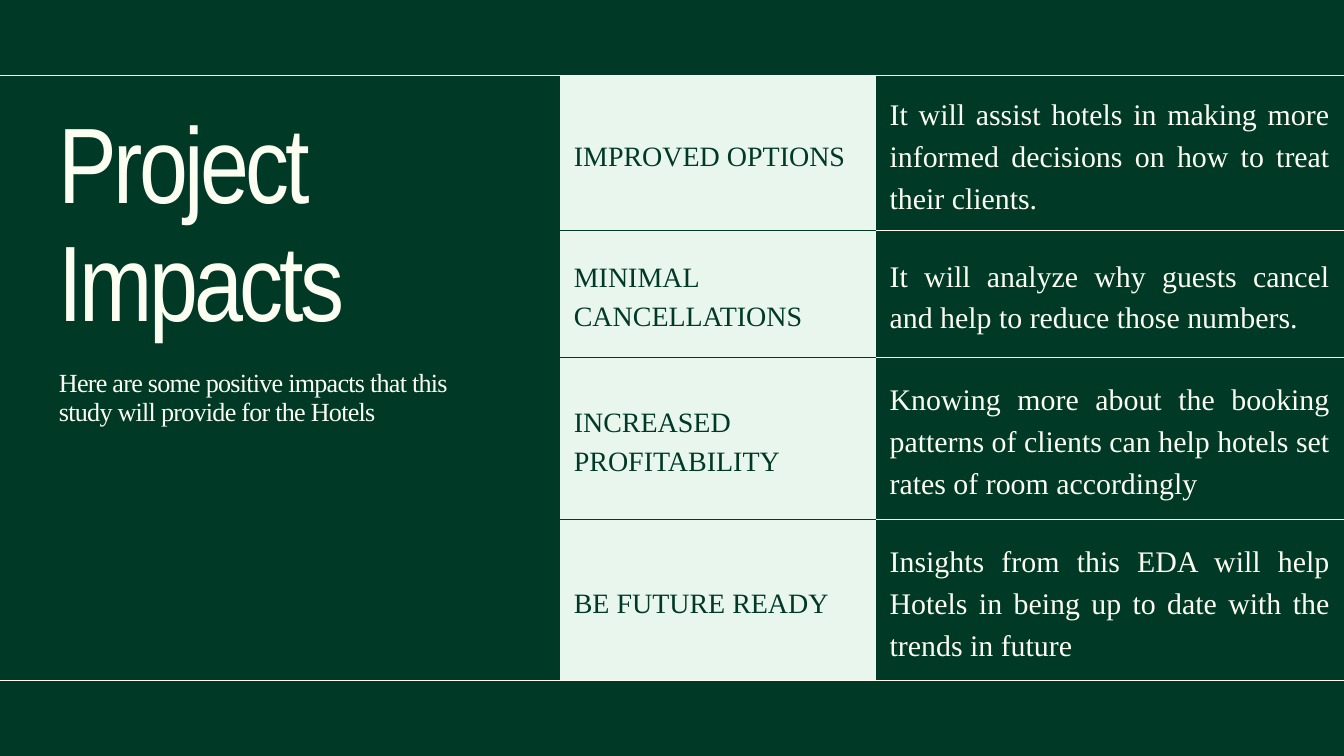
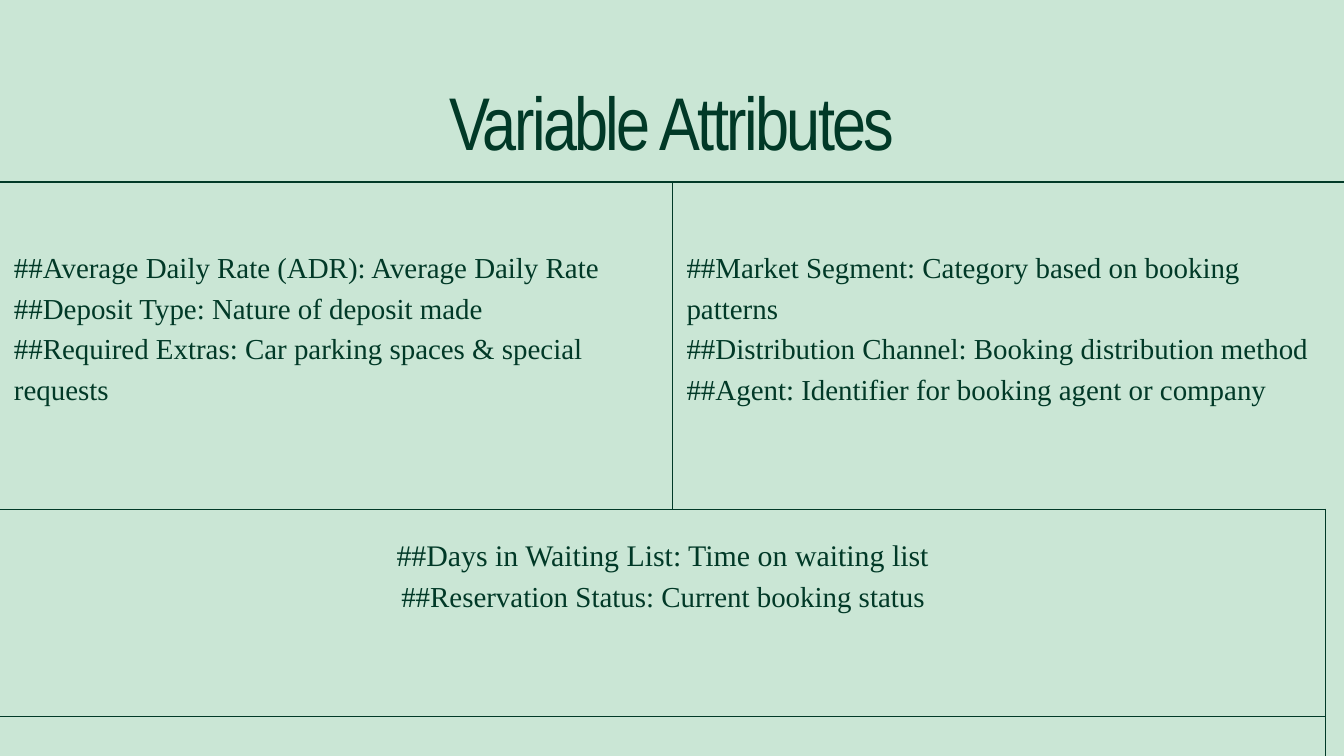
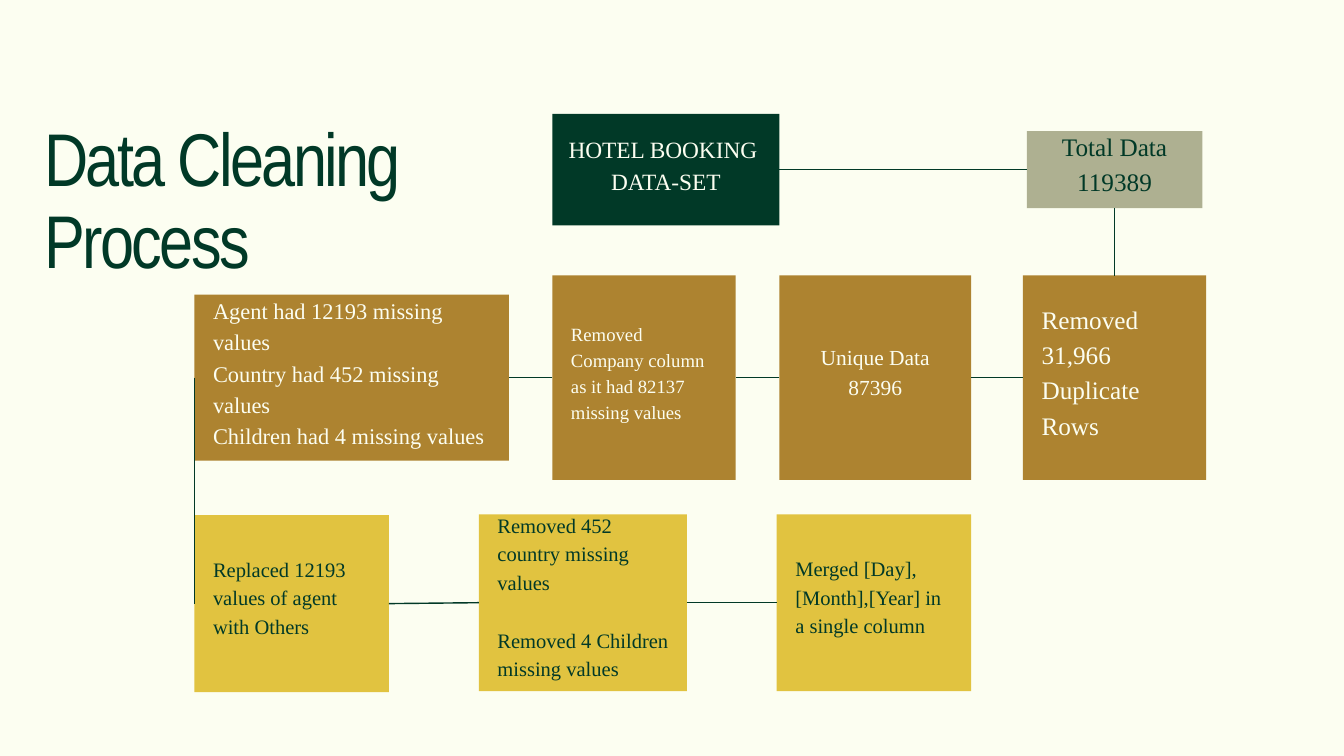
"""Build three slides on a hotel booking study: impacts, variables and data cleaning."""
from dataclasses import dataclass

from lxml import etree
from pptx import Presentation
from pptx import util as u
from pptx.dml import color
from pptx.enum import shapes, text
from pptx.oxml import ns

Pt = u.Pt
LEFT, CENTER, JUSTIFY = text.PP_ALIGN.LEFT, text.PP_ALIGN.CENTER, text.PP_ALIGN.JUSTIFY


@dataclass(frozen=True)
class Theme:
    green: str = "013927"
    cream: str = "FCFEF1"
    mint: str = "CAE6D5"
    pale: str = "E8F6EE"
    sage: str = "AEB091"
    bronze: str = "AD8330"
    gold: str = "E1C340"
    head: str = "Arial Narrow"
    body: str = "Times New Roman"
    hero: int = 115
    title: int = 80
    intro: int = 28
    label: int = 30
    detail: int = 32
    attribute: int = 31
    title_leading: float = 1.1
    body_leading: float = 1.4
    thin: float = 0.75
    rule: float = 1.5
    cell_pad: float = 15


T = Theme()
WIDTH, HEIGHT = 1440, 810

IMPACT_TITLE = ["Project", "Impacts"]
IMPACT_INTRO = "Here are some positive impacts that this study will provide for the Hotels"
IMPACT_TOP, IMPACT_LEFT = 81, 599.8
IMPACT_RULE_END = 1456
IMPACT_COLUMNS = [338.4, 501.8]
IMPACTS = [
    (165.8, "IMPROVED OPTIONS",
     "It will assist hotels in making more informed decisions on how to treat their clients."),
    (135.6, "MINIMAL CANCELLATIONS",
     "It will analyze why guests cancel and help to reduce those numbers."),
    (174.2, "INCREASED PROFITABILITY",
     "Knowing more about the booking patterns of clients can help hotels set rates of room accordingly"),
    (172.8, "BE FUTURE READY",
     "Insights from this EDA will help Hotels in being up to date with the trends in future"),
]

ATTRIBUTE_TITLE = "Variable Attributes"
ATTRIBUTE_TOP = 195.5
ATTRIBUTE_RULE = (1490.4, -2168.6)
ATTRIBUTE_COLUMNS = [720.6, 700]
ATTRIBUTE_ROWS = [350, 222.5, 191.5]
ATTRIBUTE_EDGES = [("RB", "LB"), ("TRB", "TRB"), ("TR", "TR")]
ATTRIBUTE_RAISE = [43.4, 86.8, 0]
ATTRIBUTES = [
    (0, 0, LEFT, [
        ("##Average Daily Rate (ADR): Average Daily Rate", T.attribute),
        ("##Deposit Type: Nature of deposit made", T.attribute),
        ("##Required Extras: Car parking spaces & special requests", T.attribute)]),
    (0, 1, LEFT, [
        ("##Market Segment: Category based on booking patterns", T.attribute),
        ("##Distribution Channel: Booking distribution method", T.attribute),
        ("##Agent: Identifier for booking agent or company", T.attribute)]),
    (1, 0, CENTER, [
        ("##Days in Waiting List: Time on waiting list", T.detail),
        ("##Reservation Status: Current booking status", T.attribute)]),
]

CLEANING_TITLE = ["Data Cleaning", "Process"]
WIDE_PAD, SLIM_PAD = 20, 4
STEPS = {
    "data set": ((591.8, 122, 243.2, 119.5), T.green, T.cream, 25, CENTER, SLIM_PAD, 14.5,
                 ["HOTEL BOOKING ", "DATA-SET"]),
    "total": ((1100.2, 140.5, 188, 82.5), T.sage, T.green, 27, CENTER, SLIM_PAD, 17,
              ["Total Data", "119389"]),
    "duplicates": ((1096, 295.2, 196.4, 219), T.bronze, T.cream, 27, JUSTIFY, WIDE_PAD, 17,
                   ["Removed", "31,966 Duplicate Rows"]),
    "unique": ((835, 295.2, 205.5, 219), T.bronze, T.cream, 23, CENTER, SLIM_PAD, 17,
               ["Unique Data", "87396"]),
    "company": ((591.8, 295.2, 196.5, 219), T.bronze, T.cream, 20, LEFT, WIDE_PAD, 14.5,
                ["Removed Company column as it had 82137 missing values"]),
    "missing": ((208.2, 315.7, 337, 178), T.bronze, T.cream, 24, LEFT, WIDE_PAD, 14.5,
                ["Agent had 12193 missing values", "Country had 452 missing values",
                 "Children had 4 missing values"]),
    "agent": ((208.2, 552, 208.5, 189.5), T.gold, T.green, 22, LEFT, WIDE_PAD, 17,
              ["Replaced 12193 values of agent with Others"]),
    "country": ((513, 551, 223, 189.5), T.gold, T.green, 22, LEFT, WIDE_PAD, 17,
                ["Removed 452 country missing values", "Removed 4 Children missing values"]),
    "merged": ((832.2, 551, 208.3, 189.5), T.gold, T.green, 22, LEFT, WIDE_PAD, 17,
               ["Merged [Day],[Month],[Year] in a single column"]),
}
PARAGRAPH_GAPS = {"country": 30.8}
TOP, WEST, BOTTOM, EAST = range(4)
FLOW = [
    ("data set", EAST, "total", WEST),
    ("total", BOTTOM, "duplicates", TOP),
    ("unique", EAST, "duplicates", WEST),
    ("unique", WEST, "company", EAST),
    ("company", WEST, "missing", EAST),
    ("missing", WEST, "agent", WEST),
    ("agent", EAST, "country", WEST),
    ("country", EAST, "merged", WEST),
]


def rgb(value):
    return color.RGBColor.from_string(value)


def new_slide(deck, background):
    slide = deck.slides.add_slide(deck.slide_layouts[6])
    slide.background.fill.solid()
    slide.background.fill.fore_color.rgb = rgb(background)
    return slide


def write(frame, lines, ink, face=T.body, leading=T.body_leading, align=LEFT, tracking=0, gap=0):
    frame.word_wrap = True
    for index, (line, size) in enumerate(lines):
        paragraph = frame.paragraphs[0] if index == 0 else frame.add_paragraph()
        paragraph.alignment = align
        paragraph.line_spacing = Pt(round(size * leading, 1))
        if index and gap:
            paragraph.space_before = Pt(gap)
        run = paragraph.add_run()
        run.text = line
        run.font.name, run.font.size = face, Pt(size)
        run.font.color.rgb = rgb(ink)
        if tracking:
            run._r.get_or_add_rPr().set("spc", str(round(tracking * 100)))


def set_margins(holder, left, top, right, bottom):
    holder.margin_left, holder.margin_top = Pt(left), Pt(top)
    holder.margin_right, holder.margin_bottom = Pt(right), Pt(bottom)


def add_text(slide, box, lines, ink, **style):
    frame = slide.shapes.add_textbox(*map(Pt, box)).text_frame
    set_margins(frame, 0, 0, 0, 0)
    write(frame, lines, ink, **style)


def add_title(slide, box, lines, ink, size=T.title, tracking=-2.8, leading=T.title_leading, align=LEFT):
    add_text(slide, box, [(line, size) for line in lines], ink, face=T.head,
             leading=leading, align=align, tracking=tracking)


def add_line(slide, start, end, ink, weight):
    line = slide.shapes.add_connector(shapes.MSO_CONNECTOR.STRAIGHT, *map(Pt, (*start, *end)))
    line.line.color.rgb = rgb(ink)
    line.line.width = Pt(weight)
    etree.SubElement(line._element.spPr, ns.qn("a:effectLst"))
    return line


def add_grid(slide, left, top, columns, rows):
    grid = slide.shapes.add_table(len(rows), len(columns), Pt(left), Pt(top),
                                  Pt(sum(columns)), Pt(sum(rows))).table
    grid.first_row = grid.horz_banding = False
    for column, width in zip(grid.columns, columns):
        column.width = Pt(width)
    for row, height in zip(grid.rows, rows):
        row.height = Pt(height)
    return grid


def format_cell(cell, edges, ink, weight, fill=None, raise_by=0):
    properties = cell._tc.get_or_add_tcPr()
    for side in "LRTB":
        border = etree.SubElement(properties, ns.qn(f"a:ln{side}"))
        if side in edges:
            border.set("w", str(Pt(weight)))
            solid = etree.SubElement(border, ns.qn("a:solidFill"))
            etree.SubElement(solid, ns.qn("a:srgbClr")).set("val", ink)
        else:
            border.set("w", "0")
            etree.SubElement(border, ns.qn("a:noFill"))
    if fill:
        cell.fill.solid()
        cell.fill.fore_color.rgb = rgb(fill)
    else:
        cell.fill.background()
    cell.vertical_anchor = text.MSO_ANCHOR.MIDDLE
    set_margins(cell, *[T.cell_pad] * 3, T.cell_pad + raise_by)


def build_impacts(deck):
    slide = new_slide(deck, T.green)
    add_title(slide, (63.2, 114.5, 443.5, 257), IMPACT_TITLE, T.cream, size=T.hero, tracking=-4)
    add_text(slide, (63.2, 395.5, 443.5, 62.5), [(IMPACT_INTRO, T.intro)], T.cream,
             leading=T.title_leading, tracking=-0.8)
    heights = [height for height, *_ in IMPACTS]
    grid = add_grid(slide, IMPACT_LEFT, IMPACT_TOP, IMPACT_COLUMNS, heights)
    for row, (_, label, detail) in enumerate(IMPACTS):
        edges = "TB" if row else "B"
        name, effect = grid.cell(row, 0), grid.cell(row, 1)
        format_cell(name, edges, T.green, T.thin, T.pale)
        format_cell(effect, edges, T.cream, T.thin)
        write(name.text_frame, [(label, T.label)], T.green)
        write(effect.text_frame, [(detail, T.detail)], T.cream, align=JUSTIFY)
    for y in (IMPACT_TOP, IMPACT_TOP + sum(heights)):
        add_line(slide, (0, y), (IMPACT_RULE_END, y), T.cream, T.thin)


def build_attributes(deck):
    slide = new_slide(deck, T.mint)
    grid = add_grid(slide, 0, ATTRIBUTE_TOP, ATTRIBUTE_COLUMNS, ATTRIBUTE_ROWS)
    for row, (row_edges, raise_by) in enumerate(zip(ATTRIBUTE_EDGES, ATTRIBUTE_RAISE)):
        for column, edges in enumerate(row_edges):
            format_cell(grid.cell(row, column), edges, T.green, T.rule, raise_by=raise_by)
    for row in (1, 2):
        grid.cell(row, 0).merge(grid.cell(row, 1))
    for row, column, align, lines in ATTRIBUTES:
        write(grid.cell(row, column).text_frame, lines, T.green, align=align)
    add_title(slide, (392.7, 81, 654.5, 96), [ATTRIBUTE_TITLE], T.green, leading=1.2, align=CENTER)
    start, end = ATTRIBUTE_RULE
    add_line(slide, (start, 195), (end, 195), T.green, T.rule)


def add_step(slide, box, fill, ink, size, align, pad, lift, lines, gap):
    step = slide.shapes.add_shape(shapes.MSO_SHAPE.RECTANGLE, *map(Pt, box))
    step.shadow.inherit = False
    step.fill.solid()
    step.fill.fore_color.rgb = rgb(fill)
    step.line.fill.background()
    frame = step.text_frame
    frame.vertical_anchor = text.MSO_ANCHOR.MIDDLE
    top = max(pad - lift, 0)
    set_margins(frame, pad, top, pad, top + lift)
    write(frame, [(line, size) for line in lines], ink, align=align, gap=gap)
    return step


def build_cleaning(deck):
    slide = new_slide(deck, T.cream)
    add_title(slide, (47.5, 127.5, 440, 178), CLEANING_TITLE, T.green)
    steps = {name: add_step(slide, *step, PARAGRAPH_GAPS.get(name, 0)) for name, step in STEPS.items()}
    for source, source_side, target, target_side in FLOW:
        link = add_line(slide, (0, 0), (0, 0), T.green, T.rule)
        link.begin_connect(steps[source], source_side)
        link.end_connect(steps[target], target_side)


def main():
    deck = Presentation()
    deck.slide_width, deck.slide_height = Pt(WIDTH), Pt(HEIGHT)
    build_impacts(deck)
    build_attributes(deck)
    build_cleaning(deck)
    deck.save("out.pptx")


if __name__ == "__main__":
    main()
